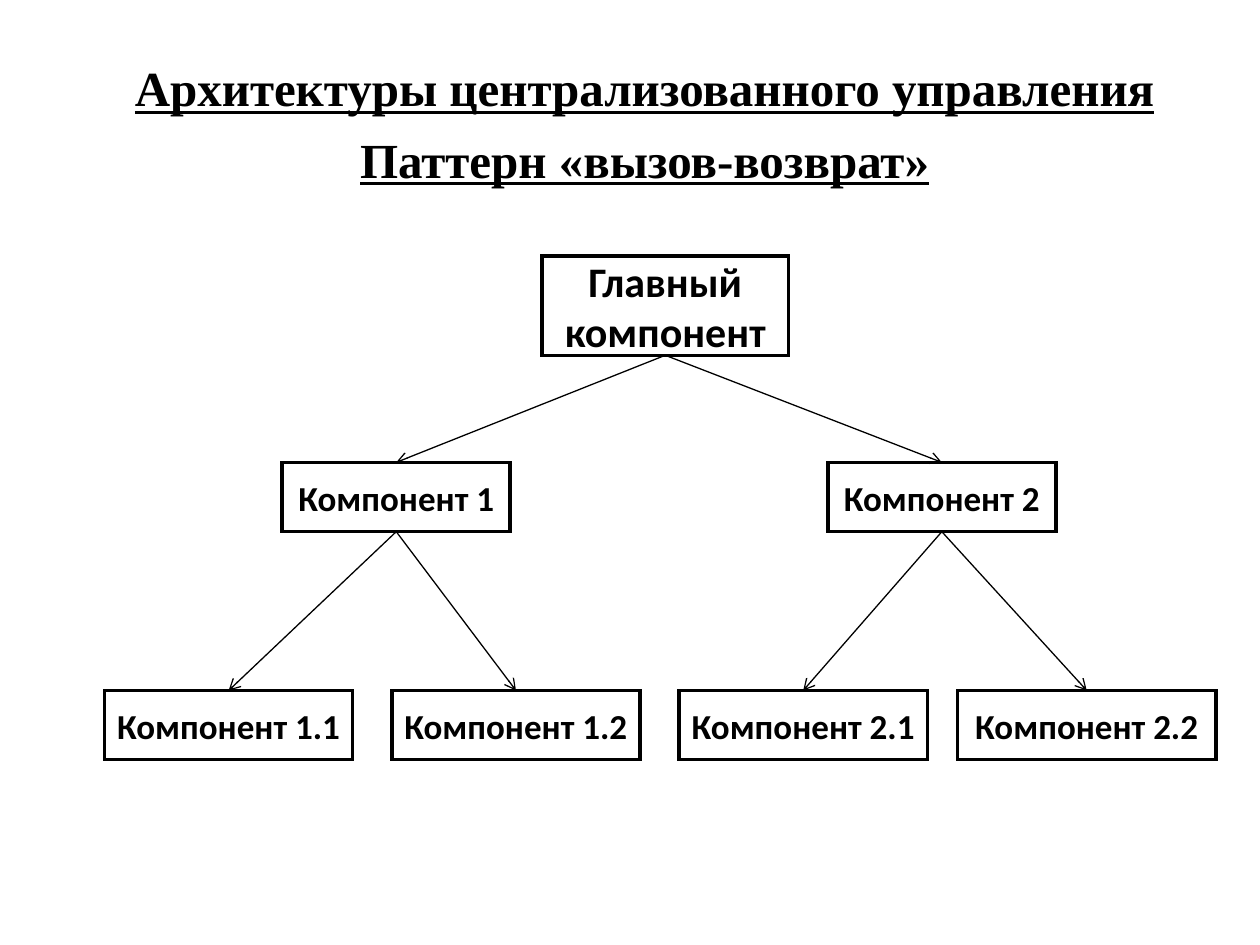
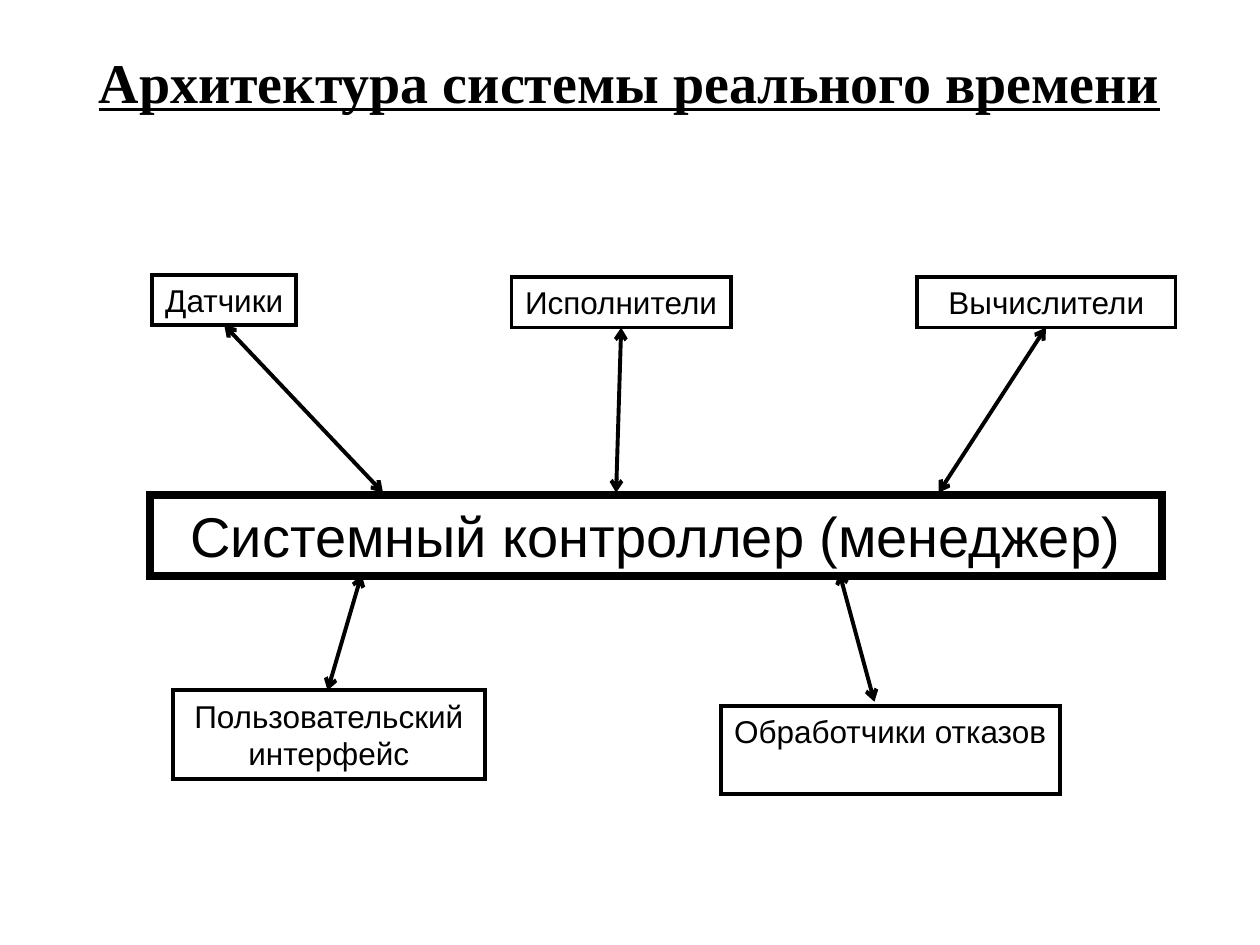
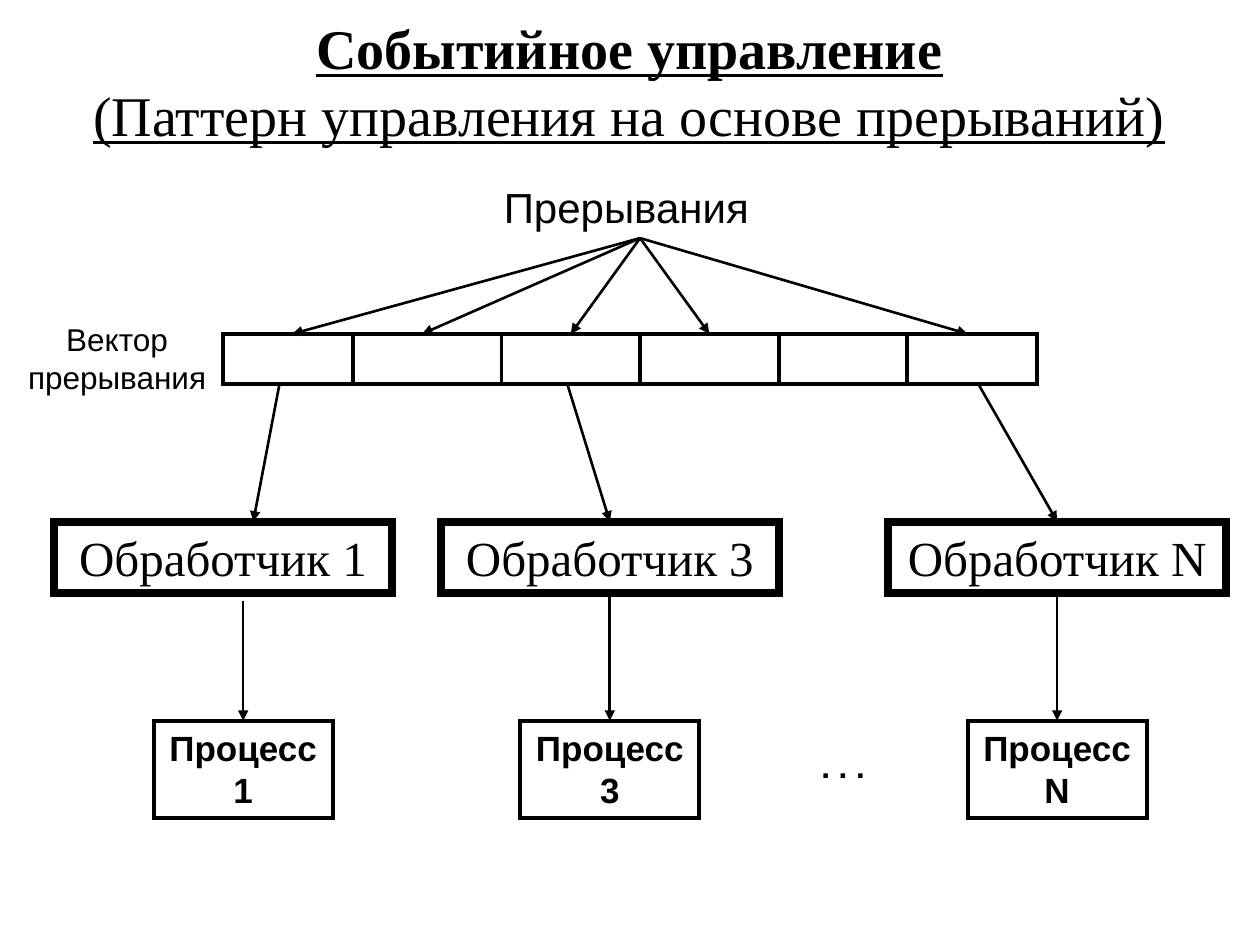
from lxml import etree
from pptx import Presentation
from pptx.dml.color import RGBColor
from pptx.enum.shapes import MSO_CONNECTOR as CONN, MSO_SHAPE as SHAPE
from pptx.enum.text import MSO_ANCHOR as ANCHOR, MSO_AUTO_SIZE as AUTO, PP_ALIGN as ALIGN
from pptx.oxml.ns import qn
from pptx.util import Inches, Pt

BLACK, WHITE = "000000", "FFFFFF"
SERIF, SANS, TREE = "Times New Roman", "Arial", "Calibri"
TITLE = dict(name=SERIF, bold=True, underline=True)
NODE = dict(name=TREE, size=Pt(20), bold=True)
ROOT = dict(NODE, size=Pt(24))
DEVICE = dict(name=SANS, size=Pt(18))
MANAGER = dict(name=SANS, size=Pt(32))
HANDLER = dict(name=SERIF, size=Pt(28))
PROCESS = dict(name=SANS, size=Pt(20), bold=True)
CAPTION = dict(name=SANS, size=Pt(24))
DOTS = dict(DEVICE, bold=True)


def rgb(value):
    """Turn a hex string into a colour."""
    return RGBColor.from_string(value)


def style(font, fmt):
    """Set the font attributes given in a dict."""
    for key, value in fmt.items():
        setattr(font, key, value)
    font.color.rgb = rgb(BLACK)


def inches(values):
    """Convert a sequence of numbers to lengths."""
    return [Inches(v) for v in values]


def write(sp, text, fmt, align=ALIGN.CENTER, anchor=ANCHOR.TOP, wrap=False):
    """Fill a shape with one formatted paragraph per line."""
    tf = sp.text_frame
    tf.word_wrap, tf.vertical_anchor = wrap, anchor
    for i, line in enumerate(text.split("\n")):
        p = tf.paragraphs[0] if i == 0 else tf.add_paragraph()
        p.alignment = align
        r = p.add_run()
        r.text = line
        style(r.font, fmt)


def add_box(s, at, text="", fmt=None, width=2.25, fill=None, **layout):
    """Add a sharp-cornered outlined rectangle with optional text."""
    sp = s.shapes.add_shape(SHAPE.RECTANGLE, *inches(at))
    sp.shadow.inherit = False
    sp.line.color.rgb = rgb(BLACK)
    sp.line.width = Pt(width)
    etree.SubElement(sp.line._get_or_add_ln(), qn("a:miter")).set("lim", "800000")
    if fill:
        sp.fill.solid()
        sp.fill.fore_color.rgb = rgb(fill)
    else:
        sp.fill.background()
    if text:
        write(sp, text, fmt, **layout)
    return sp


def add_label(s, at, text, fmt, align=ALIGN.CENTER):
    """Add a plain wrapping text box."""
    write(s.shapes.add_textbox(*inches(at)), text, fmt, align, wrap=True)


def add_link(s, start, end, width, head=None, tail=None):
    """Add a straight line with optional arrowheads."""
    c = s.shapes.add_connector(CONN.STRAIGHT, *inches(start + end))
    c.line.color.rgb = rgb(BLACK)
    c.line.width = Pt(width)
    ln = c.line._get_or_add_ln()
    for tag, kind in (("a:headEnd", head), ("a:tailEnd", tail)):
        if kind:
            etree.SubElement(ln, qn(tag)).set("type", kind)
    etree.SubElement(c._element.spPr, qn("a:effectLst"))
    return c


def add_slide(prs, at, lines, size, anchor=ANCHOR.MIDDLE):
    """Add a slide with a formatted title; a top title gets spaced paragraphs."""
    s = prs.slides.add_slide(prs.slide_layouts[5])
    sp = s.shapes.title
    sp.left, sp.top, sp.width, sp.height = inches(at)
    tf = sp.text_frame
    tf.auto_size, tf.word_wrap, tf.vertical_anchor = AUTO.NONE, True, anchor
    tf.margin_left = tf.margin_right = tf.margin_top = tf.margin_bottom = 0
    p = tf.paragraphs[0]
    p.alignment = ALIGN.CENTER
    for i, (text, bold) in enumerate(lines):
        if i and anchor == ANCHOR.TOP:
            p = tf.add_paragraph()
            p.alignment, p.space_before = ALIGN.CENTER, Pt(7)
        elif i:
            p.add_line_break()
        r = p.add_run()
        r.text = text
        style(r.font, dict(TITLE, size=Pt(size), bold=bold))
    return s


def draw_tree(s, left, top):
    """Draw the call hierarchy from its upper left corner."""
    nodes = {
        "Главный компонент": (3.47, 0, 1.96, 0.79, None),
        "Компонент 1": (1.41, 1.64, 1.81, 0.55, "Главный компонент"),
        "Компонент 2": (5.74, 1.64, 1.81, 0.55, "Главный компонент"),
        "Компонент 1.1": (0, 3.45, 1.97, 0.55, "Компонент 1"),
        "Компонент 1.2": (2.28, 3.45, 1.97, 0.55, "Компонент 1"),
        "Компонент 2.1": (4.56, 3.45, 1.97, 0.55, "Компонент 2"),
        "Компонент 2.2": (6.77, 3.45, 2.05, 0.55, "Компонент 2"),
    }
    shapes = {}
    for name, (x, y, w, h, parent) in nodes.items():
        shapes[name] = add_box(s, (left + x, top + y, w, h), name, NODE if parent else ROOT,
                               2, WHITE, anchor=ANCHOR.MIDDLE, wrap=not parent)
    for name, (*_, parent) in nodes.items():
        if parent:
            c = add_link(s, (0, 0), (1, 1), 0.75, tail="arrow")
            c.begin_connect(shapes[parent], 2)
            c.end_connect(shapes[name], 0)


def draw_controller(s, left, top):
    """Draw the controller with the devices around it."""
    add_box(s, (left, top + 1.75, 8.03, 0.64), "Системный контроллер (менеджер)", MANAGER, 4.5)
    devices = [
        ("Датчики", (0.02, 0, 1.14, 0.4), (0.59, 0.4), (1.85, 1.73), False),
        ("Исполнители", (2.87, 0.02, 1.74, 0.4), (3.74, 0.42), (3.7, 1.73), False),
        ("Вычислители", (6.09, 0.02, 2.05, 0.4), (7.11, 0.42), (6.26, 1.73), False),
        ("Пользовательский интерфейс", (0.18, 3.3, 2.48, 0.7), (1.68, 2.38), (1.41, 3.3), True),
        ("Обработчики отказов", (4.53, 3.42, 2.69, 0.7), (5.47, 2.36), (5.75, 3.39), False),
    ]
    for text, (x, y, w, h), start, end, wrap in devices:
        add_box(s, (left + x, top + y, w, h), text, DEVICE, wrap=wrap)
        ends = [(left + px, top + py) for px, py in (start, end)]
        add_link(s, *ends, 2.25, head="arrow", tail="arrow")


def draw_vector(s, left, top, width, height):
    """Draw the interrupt vector, its labels and incoming arrows."""
    add_box(s, (left, top, width, height))
    add_label(s, (left - 1.74, top - 0.16, 1.8, 0.7), "Вектор\nпрерывания", DEVICE)
    add_label(s, (left + 2.13, top - 1.26, 2.36, 0.5), "Прерывания", CAPTION, ALIGN.LEFT)
    for x in (1.03, 2.21, 3.31, 4.41, 5.43):
        add_link(s, (left + x, top), (left + x, top + height), 2.25)
    for x in (0.55, 1.58, 2.76, 3.86, 5.91):
        add_link(s, (left + 3.31, top - 0.76), (left + x, top), 1.5, tail="triangle")


def draw_handler(s, left, top, number, source, entry, center, gap=0):
    """Draw one handler with its process and the arrows leading to them."""
    add_box(s, (left, top, 2.68, 0.57), f"Обработчик {number}", HANDLER, 4.5)
    add_box(s, (center - 0.71, top + 1.58, 1.42, 0.77), f"Процесс\n{number}", PROCESS)
    add_link(s, (source, top - 1.1), (entry, top), 1.5, tail="triangle")
    add_link(s, (center, top + 0.57 + gap), (center, top + 1.58), 1.5, tail="triangle")


def main():
    """Build the three slides and save them."""
    prs = Presentation()
    prs.slide_width, prs.slide_height = Inches(10), Inches(7.5)

    lines = [("Архитектуры централизованного управления", True), ("Паттерн «вызов-возврат»", True)]
    s = add_slide(prs, (0.23, 0.46, 9.77, 1.1), lines, 28, ANCHOR.TOP)
    draw_tree(s, 0.83, 2.03)

    lines = [("Архитектура системы реального времени", True)]
    s = add_slide(prs, (0.27, 0.3, 9.45, 0.69), lines, 32)
    draw_controller(s, 1.19, 2.18)

    lines = [("Событийное управление", True), ("(Паттерн управления на основе прерываний)", False)]
    s = add_slide(prs, (0.27, 0.13, 9.45, 1.02), lines, 32)
    draw_vector(s, 1.77, 2.65, 6.46, 0.4)
    draw_handler(s, 0.43, 4.14, "1", 2.22, 2.01, 1.93, gap=0.06)
    draw_handler(s, 3.5, 4.14, "3", 4.5, 4.84, 4.84)
    draw_handler(s, 7.05, 4.14, "N", 7.76, 8.39, 8.39)
    add_label(s, (6.42, 5.88, 0.7, 0.4), ". . .", DOTS, ALIGN.LEFT)

    prs.save("out.pptx")


if __name__ == "__main__":
    main()
